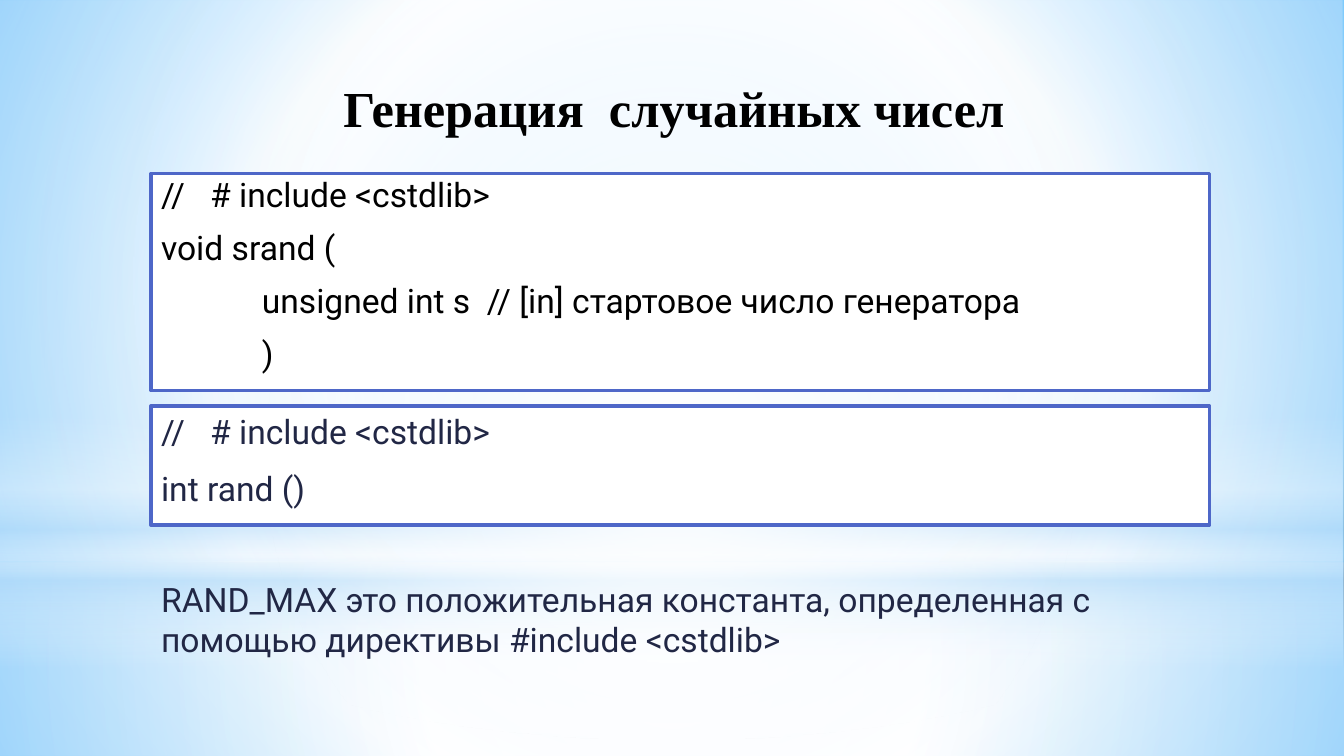
from lxml import etree
from pptx import Presentation
from pptx.dml.color import RGBColor as RGB
from pptx.enum.shapes import MSO_SHAPE as SHAPE
from pptx.enum.text import MSO_ANCHOR as ANCHOR, PP_ALIGN as ALIGN
from pptx.oxml.ns import qn
from pptx.util import Pt

COLORS = {
    "black": "000000", "white": "FFFFFF", "ink": "212745", "border": "4E67C8",
    "sky": "99D4FE", "azure": "54BDFF", "mist": "B4DCFA",
}
WIDTH, HEIGHT = 960, 540
LEFT, COLUMN = 108, 756
HORIZON = 402


class SlideBuilder:
    """Holds the style and the current slide."""

    font = "Roboto"
    size = 24

    def __init__(self, prs):
        self.s = prs.slides.add_slide(prs.slide_layouts[5])

    def color(self, name):
        return RGB.from_string(COLORS[name])

    def gradient(self, owner, fill, stops, angle=None):
        """Swap a solid fill for stops of (position, colour, opacity), in percent."""
        fill.solid()
        solid = owner.find(".//" + qn("a:solidFill"))
        grad = etree.Element(qn("a:gradFill"), rotWithShape="1")
        gs_list = etree.SubElement(grad, qn("a:gsLst"))
        for pos, name, opacity in stops:
            gs = etree.SubElement(gs_list, qn("a:gs"), pos=str(pos * 1000))
            clr = etree.SubElement(gs, qn("a:srgbClr"), val=COLORS[name])
            if opacity < 100:
                etree.SubElement(clr, qn("a:alpha"), val=str(opacity * 1000))
        if angle is None:
            path = etree.SubElement(grad, qn("a:path"))
            path.set("path", "circle")
            center = dict.fromkeys("ltrb", "50000")
            etree.SubElement(path, qn("a:fillToRect"), **center)
        else:
            etree.SubElement(grad, qn("a:lin"), ang=str(angle * 60000), scaled="0")
        solid.getparent().replace(solid, grad)

    def background(self, stops):
        fill = self.s.background.fill
        fill.solid()
        self.gradient(self.s.element.find(".//" + qn("p:bg")), fill, stops)

    def shape(self, kind, x, y, w, h):
        sp = self.s.shapes.add_shape(kind, Pt(x), Pt(y), Pt(w), Pt(h))
        sp.shadow.inherit = False
        sp.line.fill.background()
        return sp

    def glow(self, kind, y, h, stops, angle=None):
        sp = self.shape(kind, 0, y, WIDTH, h)
        self.gradient(sp.element.spPr, sp.fill, stops, angle)

    def run(self, p, text, color, font=None, size=None, bold=False):
        r = p.add_run()
        r.text = text
        r.font.name = font or self.font
        r.font.size = Pt(size or self.size)
        r.font.bold = bold
        r.font.color.rgb = self.color(color)

    def title(self, text, y, h):
        sp = self.s.shapes.title
        self.s.shapes.element.append(sp.element)  # in front of the backdrop
        sp.left, sp.top, sp.width, sp.height = Pt(LEFT), Pt(y), Pt(COLUMN), Pt(h)
        tf = sp.text_frame
        tf.vertical_anchor = ANCHOR.MIDDLE
        p = tf.paragraphs[0]
        p.alignment = ALIGN.CENTER
        p.line_spacing = 0.89
        self.run(p, text, "black", "Times New Roman", 36, True)

    def paragraphs(self, tf, lines, color, spacing=1.0):
        """Write lines of (indent, text)."""
        tf.word_wrap = True
        tf.vertical_anchor = ANCHOR.TOP
        for i, (indent, text) in enumerate(lines):
            p = tf.add_paragraph() if i else tf.paragraphs[0]
            p.alignment = ALIGN.LEFT
            p.line_spacing = spacing
            p.space_before = Pt(12 if i else 0)
            if indent:
                p._p.get_or_add_pPr().set("marL", str(Pt(indent)))
            self.run(p, text, color)

    def code_box(self, y, h, lines, color, spacing=1.0):
        sp = self.shape(SHAPE.RECTANGLE, LEFT, y, COLUMN, h)
        sp.fill.solid()
        sp.fill.fore_color.rgb = self.color("white")
        sp.line.color.rgb = self.color("border")
        sp.line.width = Pt(2.75)
        self.paragraphs(sp.text_frame, lines, color, spacing)

    def note(self, y, h, text, color):
        sp = self.s.shapes.add_textbox(Pt(LEFT), Pt(y), Pt(COLUMN), Pt(h))
        self.paragraphs(sp.text_frame, [(0, text)], color)


def main():
    prs = Presentation()
    prs.slide_width, prs.slide_height = Pt(WIDTH), Pt(HEIGHT)
    b = SlideBuilder(prs)

    # Backdrop: ground, sky, horizon band and central light
    b.background([(0, "sky", 100), (60, "white", 100), (100, "azure", 100)])
    b.glow(SHAPE.RECTANGLE, HORIZON, HEIGHT - HORIZON,
           [(0, "white", 91), (37, "white", 76), (100, "mist", 79)])
    b.glow(SHAPE.RECTANGLE, 0, HORIZON,
           [(0, "white", 89), (48, "white", 62), (100, "mist", 79)])
    b.glow(SHAPE.RECTANGLE, 297, 180,
           [(0, "white", 0), (29, "white", 30), (45, "mist", 40),
            (55, "white", 26), (65, "mist", 60), (100, "white", 0)], angle=90)
    b.glow(SHAPE.OVAL, 126, HORIZON,
           [(0, "white", 100), (56, "white", 0), (100, "white", 0)])

    # Title
    b.title("Генерация  случайных чисел ", 54, 51)

    # Function declarations
    include = (0, "//   # include <cstdlib>")
    b.code_box(124, 155, [
        include,
        (0, "void srand ("),
        (72, "unsigned int s  // [in] стартовое число генератора"),
        (72, ")"),
    ], "black", 0.9)
    b.code_box(290, 85, [include, (0, "int rand ()")], "ink")

    # Remark on the constant
    b.note(410, 85, "RAND_MAX это положительная константа, определенная с "
           "помощью директивы #include <cstdlib>", "ink")

    prs.save("out.pptx")


if __name__ == "__main__":
    main()
